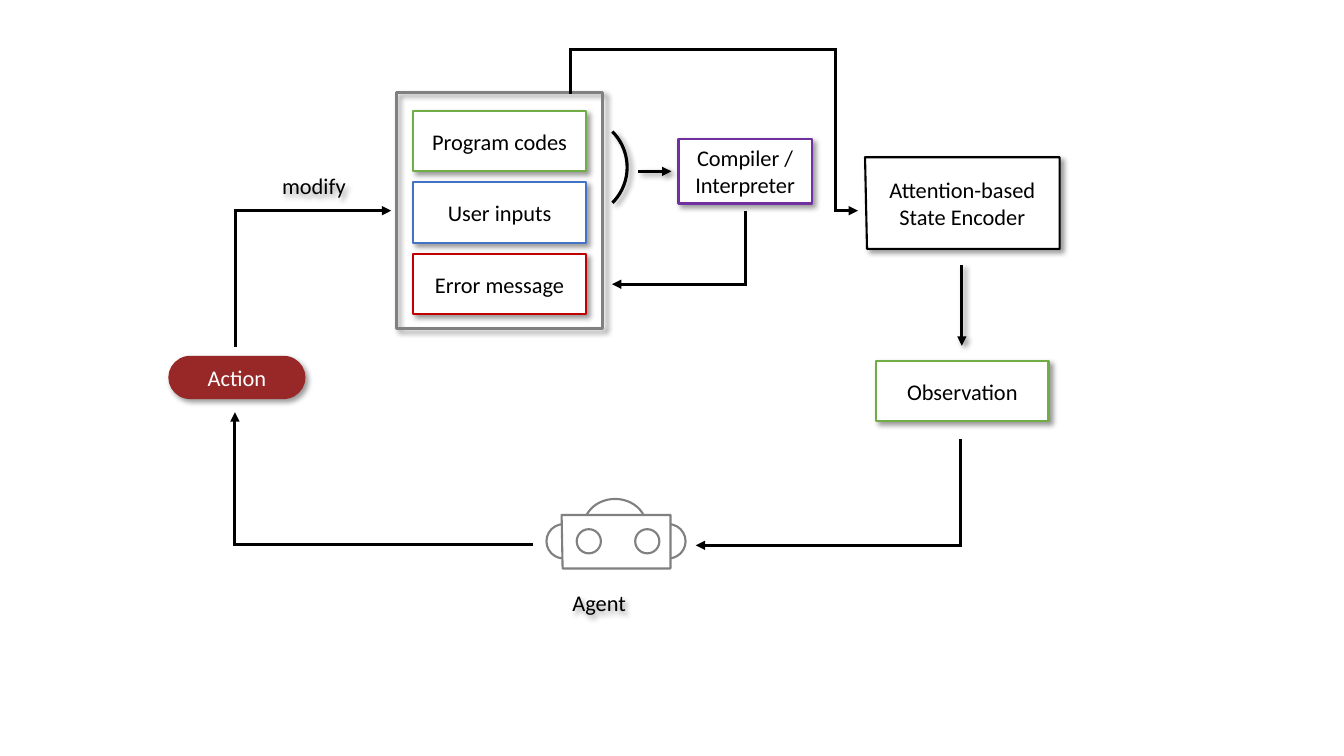
from lxml import etree
from pptx import Presentation
from pptx.dml.color import RGBColor
from pptx.enum.shapes import MSO_CONNECTOR, MSO_SHAPE
from pptx.enum.text import MSO_ANCHOR, MSO_AUTO_SIZE, PP_ALIGN
from pptx.oxml import parse_xml
from pptx.oxml.ns import nsdecls, qn
from pptx.util import Inches, Pt

RECT, OVAL, ARC = MSO_SHAPE.RECTANGLE, MSO_SHAPE.OVAL, MSO_SHAPE.ARC
TERMINATOR = MSO_SHAPE.FLOWCHART_TERMINATOR
STRAIGHT = MSO_CONNECTOR.STRAIGHT
CENTER, LEFT = PP_ALIGN.CENTER, PP_ALIGN.LEFT

BLACK, WHITE, GRAY = "000000", "FFFFFF", "808080"
GREEN, BLUE, RED = "70AD47", "4472C4", "C00000"
PURPLE, MAROON = "7030A0", "982828"

BOX_TEXT = {"word_wrap": True, "vertical_anchor": MSO_ANCHOR.MIDDLE}
LABEL_TEXT = {"word_wrap": False, "auto_size": MSO_AUTO_SIZE.SHAPE_TO_FIT_TEXT}
FONT = {"name": "Calibri", "size": Pt(16)}
SHADOW = (
    f'<a:effectLst {nsdecls("a")}><a:outerShdw blurRad="{Pt(4)}" dist="{Pt(3)}" '
    'dir="2700000" algn="tl" rotWithShape="0"><a:srgbClr val="000000">'
    '<a:alpha val="40000"/></a:srgbClr></a:outerShdw></a:effectLst>'
)
NO_SHADOW = f'<a:effectLst {nsdecls("a")}/>'


def paint(item, fill=None, line=None, width=1.5, shadow=True):
    """Set fill, outline and shadow; None means no paint."""
    for part, color in (("fill", fill), ("line", line)):
        if not hasattr(item, part):
            continue
        target = item.fill if part == "fill" else item.line.fill
        if color:
            target.solid()
            target.fore_color.rgb = RGBColor.from_string(color)
        else:
            target.background()
    if line:
        item.line.width = Pt(width)
    item._element.spPr.append(parse_xml(SHADOW if shadow else NO_SHADOW))


def write(item, text, color=BLACK, align=CENTER, frame_format=BOX_TEXT):
    """Put one line of styled text into a shape or text box."""
    for name, value in frame_format.items():
        setattr(item.text_frame, name, value)
    paragraph = item.text_frame.paragraphs[0]
    paragraph.alignment = align
    run = paragraph.add_run()
    run.text = text
    for name, value in FONT.items():
        setattr(run.font, name, value)
    run.font.color.rgb = RGBColor.from_string(color)


prs = Presentation()
prs.slide_width, prs.slide_height = Inches(13.33), Inches(7.5)
shapes = prs.slides.add_slide(prs.slide_layouts[6]).shapes

# Frame around the program state
state_frame = shapes.add_shape(RECT, Inches(3.93), Inches(0.92), Inches(2.05), Inches(2.34))
paint(state_frame, line=GRAY, width=2.25)

# Labelled boxes
boxes = [
    ("Compiler / Interpreter", 6.73, 1.38, 1.32, 0.64, PURPLE),
    ("Observation", 8.69, 3.58, 1.71, 0.6, GREEN),
]
state_parts = [("Program codes", GREEN), ("User inputs", BLUE), ("Error message", RED)]
for row, (text, color) in enumerate(state_parts):
    boxes.append((text, 4.1, 1.1 + 0.71 * row, 1.71, 0.6, color))
for text, left, top, width, height, color in boxes:
    box = shapes.add_shape(RECT, Inches(left), Inches(top), Inches(width), Inches(height))
    paint(box, WHITE, color)
    write(box, text)

action = shapes.add_shape(TERMINATOR, Inches(1.67), Inches(3.53), Inches(1.36), Inches(0.43))
paint(action, MAROON)
write(action, "Action", WHITE)

# Robot parts that sit behind its head
for left, top, width, height in [
    (5.79, 4.95, 0.62, 0.54), (6.46, 5.2, 0.34, 0.34), (5.42, 5.2, 0.34, 0.34),
]:
    robot_part = shapes.add_shape(OVAL, Inches(left), Inches(top), Inches(width), Inches(height))
    paint(robot_part, WHITE, GRAY, shadow=False)

# Slightly skewed outlines: state encoder and robot head
for left, top, right, bottom, skew, color, text in [
    (8.58, 1.56, 10.51, 2.47, 0.02, BLACK, "Attention-based State Encoder"),
    (5.57, 5.11, 6.65, 5.64, 0.01, GRAY, None),
]:
    builder = shapes.build_freeform(Inches(left), Inches(top))
    corners = [(right, top), (right, bottom), (left + skew, bottom)]
    builder.add_line_segments([(Inches(x), Inches(y)) for x, y in corners], close=True)
    outline = builder.convert_to_shape()
    paint(outline, WHITE, color, shadow=text is not None)
    if text:
        write(outline, text)

# Robot eyes
for left in (5.72, 6.3):
    eye = shapes.add_shape(OVAL, Inches(left), Inches(5.25), Inches(0.24), Inches(0.24))
    paint(eye, WHITE, GRAY, shadow=False)

# Bracket joining codes and inputs
bracket = shapes.add_shape(ARC, Inches(5.22), Inches(1.16), Inches(1), Inches(1))
bracket.rotation = 44.9
paint(bracket, line=BLACK, width=2.25)

# Arrow routes: corner points in flow order, head on the last stretch
routes = [
    [(6.33, 1.7), (6.66, 1.7)],
    [(9.54, 2.63), (9.54, 3.43)],
    [(9.53, 4.37), (9.53, 5.41), (6.9, 5.41)],
    [(5.27, 5.4), (2.33, 5.4), (2.33, 4.09)],
    [(2.34, 3.43), (2.34, 2.09), (3.88, 2.09)],
    [(5.66, 0.92), (5.66, 0.49), (8.29, 0.49), (8.29, 2.09), (8.51, 2.09)],
    [(7.39, 2.11), (7.39, 2.82), (6.07, 2.82)],
]
for route in routes:
    for start, end in zip(route, route[1:]):
        stretch = shapes.add_connector(STRAIGHT, *(Inches(v) for v in start + end))
        paint(stretch, line=BLACK, width=2.25, shadow=len(route) == 2)
        stroke = stretch.line._get_or_add_ln()
        if end == route[-1]:
            etree.SubElement(stroke, qn("a:tailEnd"), type="triangle")
        else:
            stroke.set("cap", "sq")

# Free labels
for text, left, top, width in [("modify", 2.7, 1.66, 0.89), ("Agent", 5.58, 5.8, 0.8)]:
    label = shapes.add_textbox(Inches(left), Inches(top), Inches(width), Inches(0.37))
    paint(label)
    write(label, text, align=LEFT, frame_format=LABEL_TEXT)

prs.save("out.pptx")
